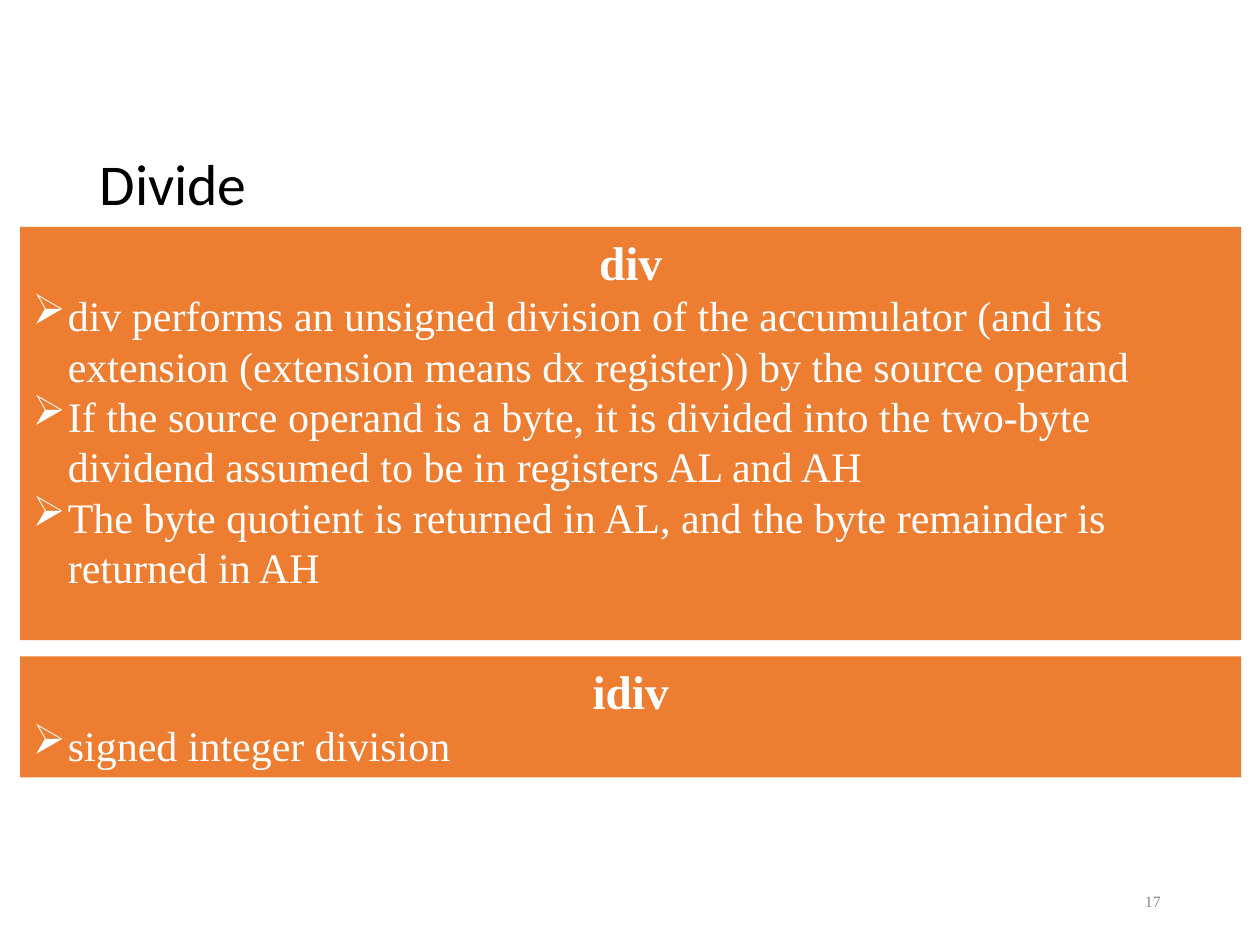
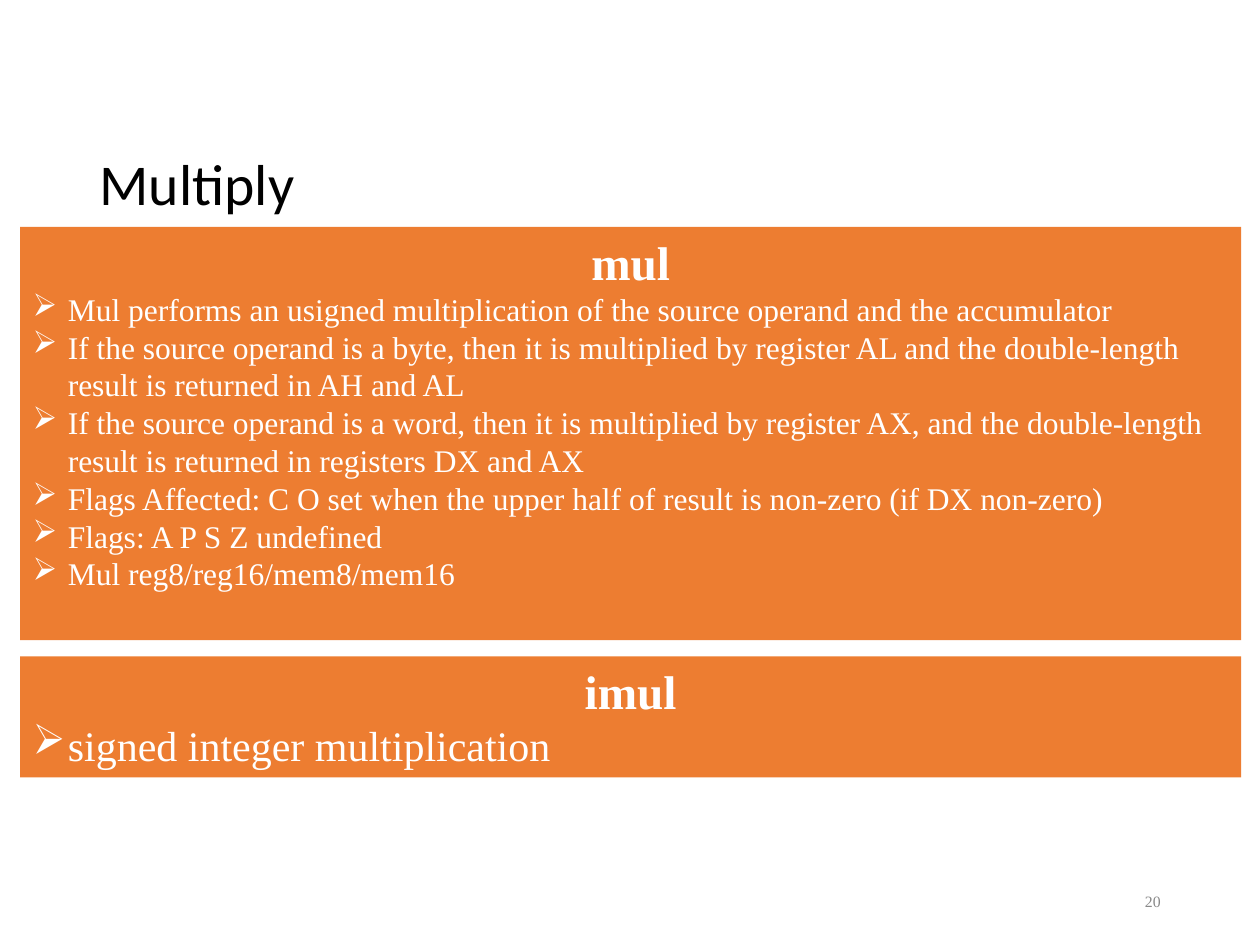
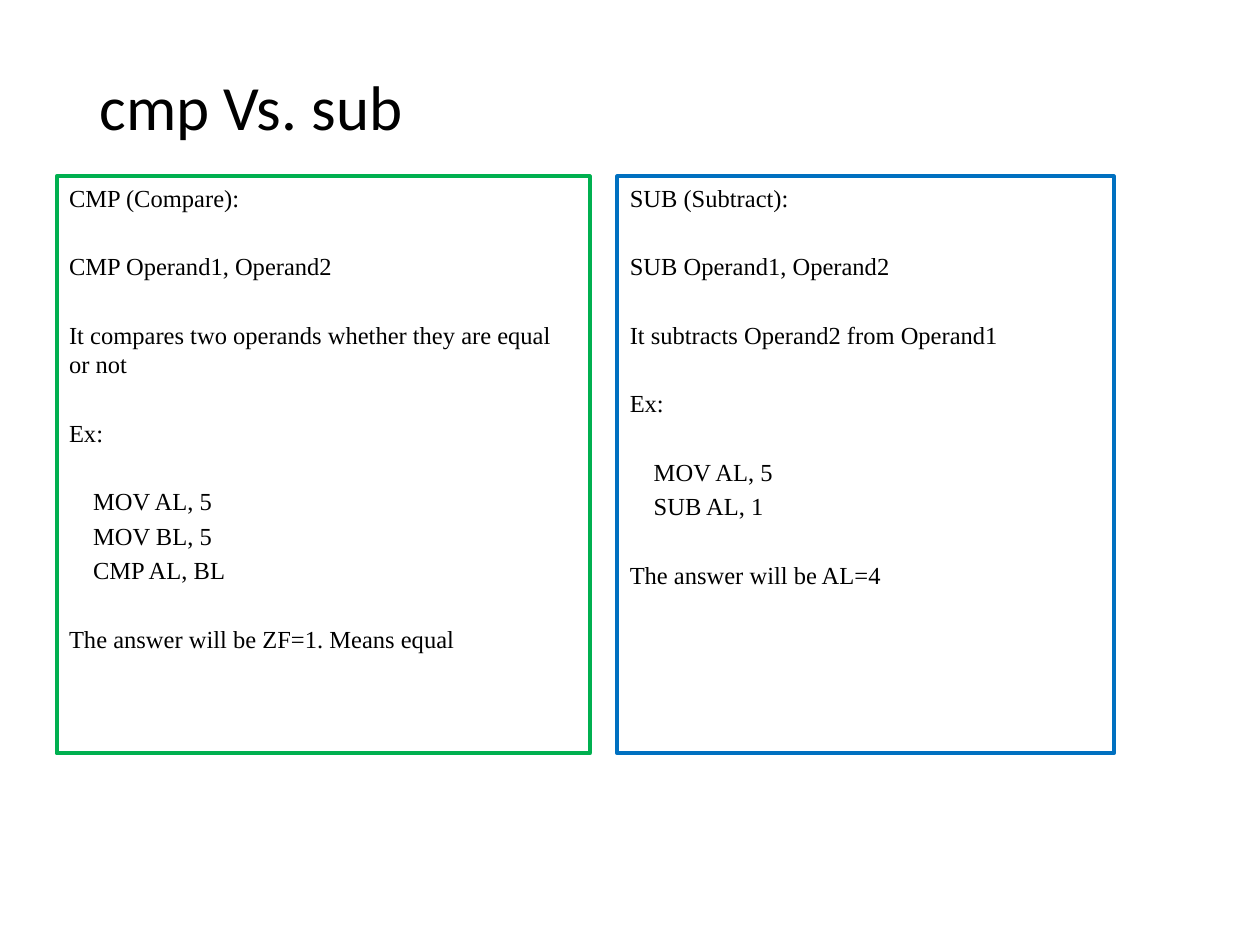
from lxml import etree
from pptx import Presentation
from pptx import util as u
from pptx.dml.color import RGBColor
from pptx.enum import shapes, text
from pptx.oxml.ns import qn

COLORS = {"text": "000000", "light": "FFFFFF", "number": "898989",
          "panel": "ED7D31", "compare": "00B050", "subtract": "0070C0"}
TITLE_FONT, BODY_FONT = "Calibri", "Times New Roman"
CODE_INDENT = 0.19
LINE_GAP, BLOCK_GAP = 2.8, 22.4

INSTRUCTION_SLIDES = [
    ("Divide", "17", [
        ("div", 24, [
            "div performs an unsigned division of the accumulator (and its extension (extension means dx register)) by the source operand",
            "If the source operand is a byte, it is divided into the two-byte dividend assumed to be in registers AL and AH",
            "The byte quotient is returned in AL, and the byte remainder is returned in AH",
        ]),
        ("idiv", 24, ["signed integer division"]),
    ]),
    ("Multiply", "20", [
        ("mul", 18, [
            "Mul performs an usigned multiplication of the source operand and the accumulator",
            "If the source operand is a byte, then it is multiplied by register AL and the double-length result is returned in AH and AL",
            "If the source operand is a word, then it is multiplied by register AX, and the double-length result is returned in registers DX and AX",
            "Flags Affected: C O set when the upper half of result is non-zero (if DX non-zero)",
            "Flags: A P S Z undefined",
            "Mul reg8/reg16/mem8/mem16",
        ]),
        ("imul", 24, ["signed integer multiplication"]),
    ]),
]
PANEL_SPANS = [(1.8, 3.28), (5.21, 0.96)]

# Each inner list is a block of lines; blocks are set apart by a wider gap.
COMPARISON_BOXES = [
    ("compare", 0.45, 4.23, [
        ["CMP (Compare):"], ["CMP Operand1, Operand2"],
        ["It compares two operands whether they are equal or not"], ["Ex:"],
        ["MOV AL, 5", "MOV BL, 5", "CMP AL, BL"],
        ["The answer will be ZF=1. Means equal"]]),
    ("subtract", 4.9, 3.94, [
        ["SUB (Subtract):"], ["SUB Operand1, Operand2"],
        ["It subtracts Operand2 from Operand1"], ["Ex:"],
        ["MOV AL, 5", "SUB AL, 1"],
        ["The answer will be AL=4"]]),
]


def write_paragraph(frame, content, size, color, font=BODY_FONT, bold=False,
                    align=text.PP_ALIGN.LEFT):
    """Fill the empty first paragraph of the frame, or append a new one."""
    first = frame.paragraphs[0]
    paragraph = frame.add_paragraph() if first.runs else first
    paragraph.alignment = align
    run = paragraph.add_run()
    run.text = content
    run.font.size = u.Pt(size)
    run.font.name = font
    run.font.bold = bold
    run.font.color.rgb = RGBColor.from_string(COLORS[color])
    return paragraph


def add_titled_slide(title, top, height, size):
    slide = presentation.slides.add_slide(presentation.slide_layouts[5])
    shape = slide.shapes.title
    shape.left, shape.top = u.Inches(0.69), u.Inches(top)
    shape.width, shape.height = u.Inches(8.62), u.Inches(height)
    frame = shape.text_frame
    frame.auto_size = text.MSO_AUTO_SIZE.NONE
    frame.vertical_anchor = text.MSO_ANCHOR.MIDDLE
    write_paragraph(frame, title, size, "text", TITLE_FONT).line_spacing = 0.9
    return slide


presentation = Presentation()
presentation.slide_width = u.Inches(10)
presentation.slide_height = u.Inches(7.5)

for title, number, panels in INSTRUCTION_SLIDES:
    slide = add_titled_slide(title, 0.94, 1.09, 33)

    number_box = slide.shapes.add_textbox(
        u.Inches(7.06), u.Inches(6.95), u.Inches(2.25), u.Inches(0.4))
    number_box.text_frame.word_wrap = True
    number_box.text_frame.vertical_anchor = text.MSO_ANCHOR.MIDDLE
    write_paragraph(number_box.text_frame, number, 9, "number",
                    align=text.PP_ALIGN.RIGHT)

    for (top, height), (heading, size, points) in zip(PANEL_SPANS, panels):
        panel = slide.shapes.add_shape(
            shapes.MSO_SHAPE.RECTANGLE,
            u.Inches(0.16), u.Inches(top), u.Inches(9.69), u.Inches(height))
        panel.shadow.inherit = False
        panel.fill.solid()
        panel.fill.fore_color.rgb = RGBColor.from_string(COLORS["panel"])
        panel.line.fill.background()
        frame = panel.text_frame
        frame.word_wrap = True
        frame.vertical_anchor = text.MSO_ANCHOR.TOP
        write_paragraph(frame, heading, 27, "light", bold=True,
                        align=text.PP_ALIGN.CENTER)
        for point in points:
            paragraph = write_paragraph(frame, point, size, "light")
            properties = paragraph._p.get_or_add_pPr()
            properties.set("marL", str(u.Inches(0.28)))
            properties.set("indent", str(u.Inches(-0.28)))
            etree.SubElement(properties, qn("a:buChar")).set("char", "➢")

slide = add_titled_slide("cmp Vs. sub", 0.15, 1.45, 36)
for color, left, width, blocks in COMPARISON_BOXES:
    box = slide.shapes.add_shape(
        shapes.MSO_SHAPE.RECTANGLE,
        u.Inches(left), u.Inches(1.4), u.Inches(width), u.Inches(4.58))
    box.shadow.inherit = False
    box.fill.background()
    box.line.color.rgb = RGBColor.from_string(COLORS[color])
    box.line.width = u.Pt(2.25)
    frame = box.text_frame
    frame.word_wrap = True
    frame.vertical_anchor = text.MSO_ANCHOR.TOP
    for block_index, block in enumerate(blocks):
        for line_index, line in enumerate(block):
            paragraph = write_paragraph(frame, line, 14, "text")
            starts_block = block_index > 0 and line_index == 0
            paragraph.space_before = u.Pt(BLOCK_GAP if starts_block else LINE_GAP)
            if len(block) > 1:
                paragraph._p.get_or_add_pPr().set("marL", str(u.Inches(CODE_INDENT)))

presentation.save("out.pptx")
